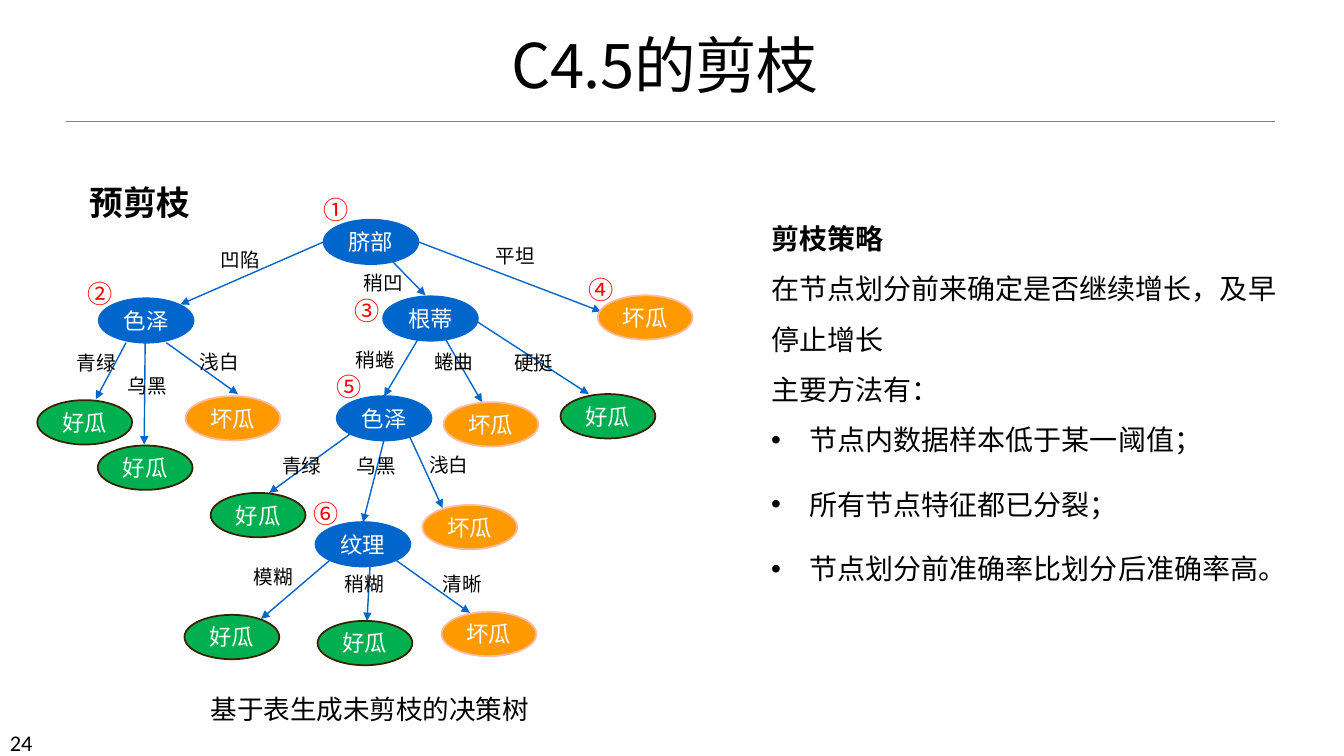
from lxml import etree
from pptx import Presentation, util as u
from pptx.dml.color import RGBColor
from pptx.enum import shapes, text
from pptx.oxml.ns import qn

W, H = 13.33, 7.5
FONT = "Noto Sans CJK SC"
BLACK, WHITE, RED, BLUE = "000000", "FFFFFF", "FF0000", "0066CC"
NODE_W, NODE_H = 0.94, 0.44
LABEL_W, LABEL_H, MARK_H = 0.7, 0.34, 0.4

TITLE = "C4.5的剪枝"
PAGE = "24"
HEADING = "预剪枝"
CAPTION = "基于表生成未剪枝的决策树"
STRATEGY = [
    ("剪枝策略", True, False),
    ("在节点划分前来确定是否继续增长，及早停止增长", False, False),
    ("主要方法有：", False, False),
    ("节点内数据样本低于某一阈值；", False, True),
    ("所有节点特征都已分裂；", False, True),
    ("节点划分前准确率比划分后准确率高。", False, True),
]

STYLES = {
    "split": (BLUE, BLUE),
    "好瓜": ("00B050", "392104"),
    "坏瓜": ("FF9900", "FBBCA3"),
}
SPLITS = [
    ("脐部", 3.21, 2.18, "①", 3.11, 1.88),
    ("色泽", 0.98, 2.96, "②", 0.77, 2.71),
    ("根蒂", 3.8, 2.94, "③", 3.42, 2.88),
    ("色泽", 3.34, 3.93, "⑤", 3.24, 3.63),
    ("纹理", 3.13, 5.18, "⑥", 3.01, 4.89),
]
LEAVES = {
    "好瓜": [(0.37, 3.97), (0.97, 4.42), (5.56, 3.91), (2.09, 4.89), (1.83, 6.1), (3.15, 6.16)],
    "坏瓜": [(5.93, 2.93), (1.84, 3.93), (4.4, 3.99), (4.19, 5.01), (4.38, 6.07)],
}
LEAF_MARK = ("④", 5.74, 2.67)
BRANCHES = [
    ("凹陷", (2.09, 2.41), (3.21, 2.4), (1.79, 3.02)),
    ("稍凹", (3.51, 2.64), (3.52, 2.21), (4.22, 2.93)),
    ("平坦", (4.82, 2.37), (4.15, 2.4), (5.96, 3.09)),
    ("青绿", (0.66, 3.43), (1.25, 3.4), (0.95, 3.96)),
    ("乌黑", (1.17, 3.66), (1.44, 3.4), (1.43, 4.41)),
    ("浅白", (1.88, 3.42), (1.65, 3.4), (2.36, 3.91)),
    ("稍蜷", (3.43, 3.4), (4.37, 2.99), (3.81, 3.93)),
    ("蜷曲", (4.21, 3.42), (4.41, 3.35), (4.78, 3.99)),
    ("硬挺", (5, 3.43), (4.73, 3.19), (5.84, 3.91)),
    ("青绿", (2.7, 4.45), (3.48, 4.3), (2.67, 4.89)),
    ("乌黑", (3.44, 4.45), (3.81, 4.36), (3.6, 5.18)),
    ("浅白", (4.16, 4.44), (4.03, 4.26), (4.39, 5.04)),
    ("模糊", (2.42, 5.56), (3.27, 5.56), (2.59, 6.14)),
    ("稍糊", (3.32, 5.62), (3.67, 5.62), (3.64, 6.16)),
    ("清晰", (4.29, 5.62), (3.93, 5.56), (4.66, 6.08)),
]


def rgb(color):
    return RGBColor.from_string(color)


def inches(*values):
    return [u.Inches(v) for v in values]


def set_all(obj, values):
    for name, value in values.items():
        setattr(obj, name, value)


def write(p, words, size, color=BLACK, bold=False, font=FONT, **layout):
    set_all(p, layout)
    r = p.add_run()
    r.text = words
    set_all(r.font, {"size": u.Pt(size), "bold": bold, "name": font})
    r.font.color.rgb = rgb(color)
    etree.SubElement(r.font._element, qn("a:ea"), typeface=font)
    return r


def add_text(s, box, words, size, **style):
    tf = s.shapes.add_textbox(*inches(*box)).text_frame
    tf.word_wrap = True
    write(tf.paragraphs[0], words, size, **style)


def add_line(s, start, end, color, width, arrow=False):
    c = s.shapes.add_connector(shapes.MSO_CONNECTOR.STRAIGHT, *inches(*start, *end))
    c.line.color.rgb = rgb(color)
    c.line.width = u.Pt(width)
    if arrow:
        etree.SubElement(c.line._get_or_add_ln(), qn("a:tailEnd"), type="triangle")
    etree.SubElement(c._element.spPr, qn("a:effectLst"))


def add_node(s, words, x, y, style):
    fill, line = STYLES[style]
    sp = s.shapes.add_shape(shapes.MSO_SHAPE.OVAL, *inches(x, y, NODE_W, NODE_H))
    sp.shadow.inherit = False
    sp.fill.solid()
    sp.fill.fore_color.rgb = rgb(fill)
    sp.line.color.rgb = rgb(line)
    sp.line.width = u.Pt(1.25)
    tf = sp.text_frame
    set_all(tf, {"margin_left": 0, "margin_right": 0, "margin_top": 0, "margin_bottom": 0,
                 "vertical_anchor": text.MSO_ANCHOR.MIDDLE})
    write(tf.paragraphs[0], words, 16, WHITE, alignment=text.PP_ALIGN.CENTER)


def add_bullet(p):
    pPr = p._p.get_or_add_pPr()
    indent = u.Inches(0.38)
    pPr.set("marL", str(indent))
    pPr.set("indent", str(-indent))
    etree.SubElement(pPr, qn("a:buFont"), typeface="Arial")
    etree.SubElement(pPr, qn("a:buChar"), char="•")


def add_title(s):
    sp = s.shapes.title
    set_all(sp, dict(zip(("left", "top", "width", "height"), inches(0.38, 0.24, 12.43, 0.81))))
    tf = sp.text_frame
    set_all(tf, {"vertical_anchor": text.MSO_ANCHOR.BOTTOM, "word_wrap": True,
                 "auto_size": text.MSO_AUTO_SIZE.NONE})
    r = write(tf.paragraphs[0], TITLE, 44, alignment=text.PP_ALIGN.CENTER, line_spacing=0.85)
    r.font._element.set("spc", "-50")


def add_tree(s):
    for _, _, start, end in BRANCHES:
        add_line(s, start, end, BLUE, 1, arrow=True)
    for words, x, y, *_ in SPLITS:
        add_node(s, words, x, y, "split")
    for words, places in LEAVES.items():
        for x, y in places:
            add_node(s, words, x, y, words)
    for words, place, *_ in BRANCHES:
        add_text(s, (*place, LABEL_W, LABEL_H), words, 14)
    for mark, x, y in [split[3:] for split in SPLITS] + [LEAF_MARK]:
        add_text(s, (x, y, LABEL_W, MARK_H), mark, 18, color=RED)


def add_strategy(s):
    tf = s.shapes.add_textbox(*inches(7.55, 1.98, 5.31, 3.86)).text_frame
    tf.word_wrap = True
    for i, (words, bold, bullet) in enumerate(STRATEGY):
        p = tf.add_paragraph() if i else tf.paragraphs[0]
        if bullet:
            add_bullet(p)
        write(p, words, 20, bold=bold, line_spacing=1.5, space_after=u.Pt(10 if bullet else 0))


def main():
    prs = Presentation()
    prs.slide_width, prs.slide_height = inches(W, H)
    s = prs.slides.add_slide(prs.slide_layouts[5])
    add_title(s)
    add_line(s, (0.65, 1.2), (12.65, 1.2), "808080", 0.5)
    add_text(s, (0, 7.18, 1.17, 0.3), PAGE, 16, font="Calibri")
    add_text(s, (0.79, 1.56, 1.25, 0.61), HEADING, 24, bold=True, line_spacing=1.5)
    add_text(s, (1.99, 6.82, 3.4, 0.42), CAPTION, 19)
    add_tree(s)
    add_strategy(s)
    prs.save("out.pptx")


if __name__ == "__main__":
    main()
